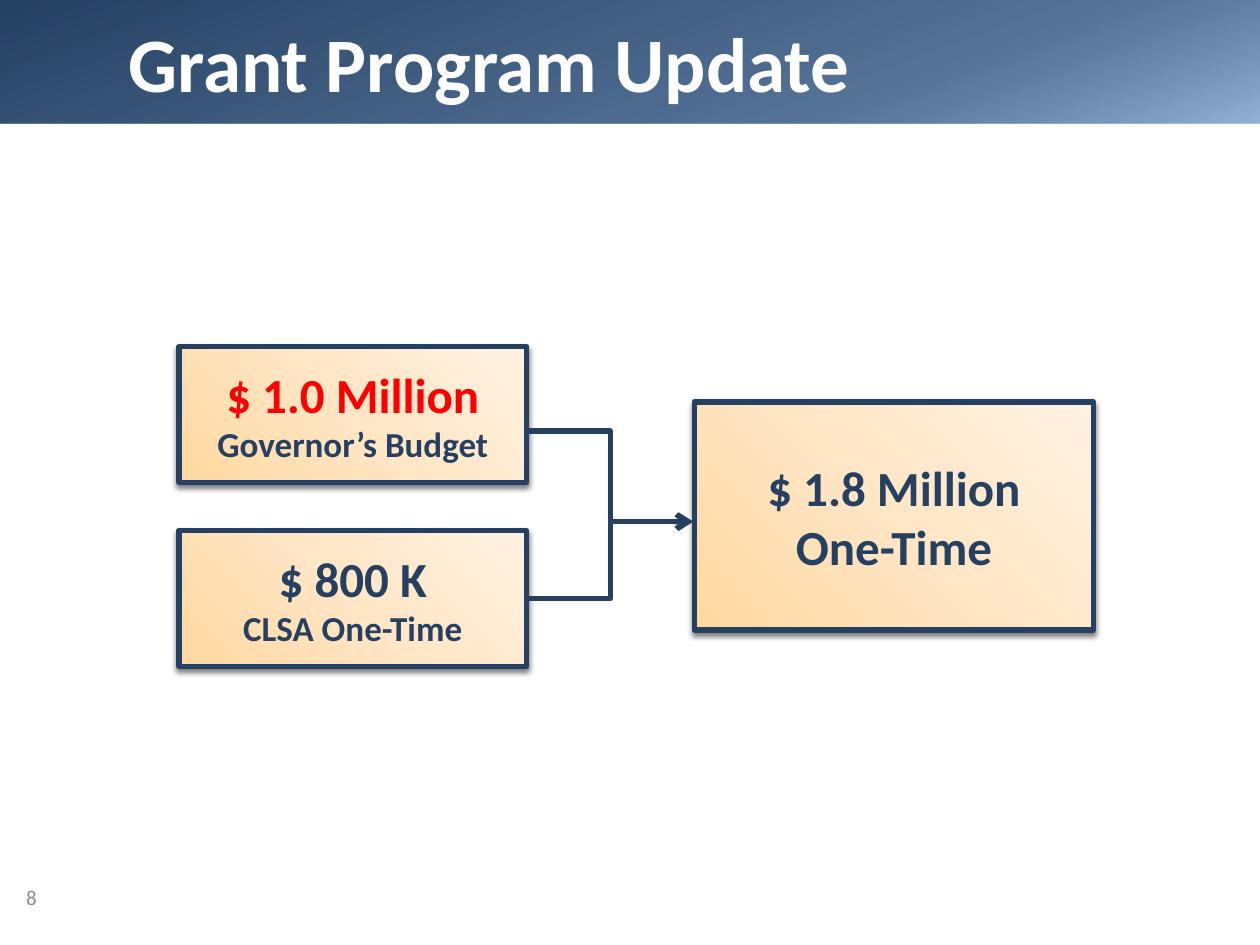
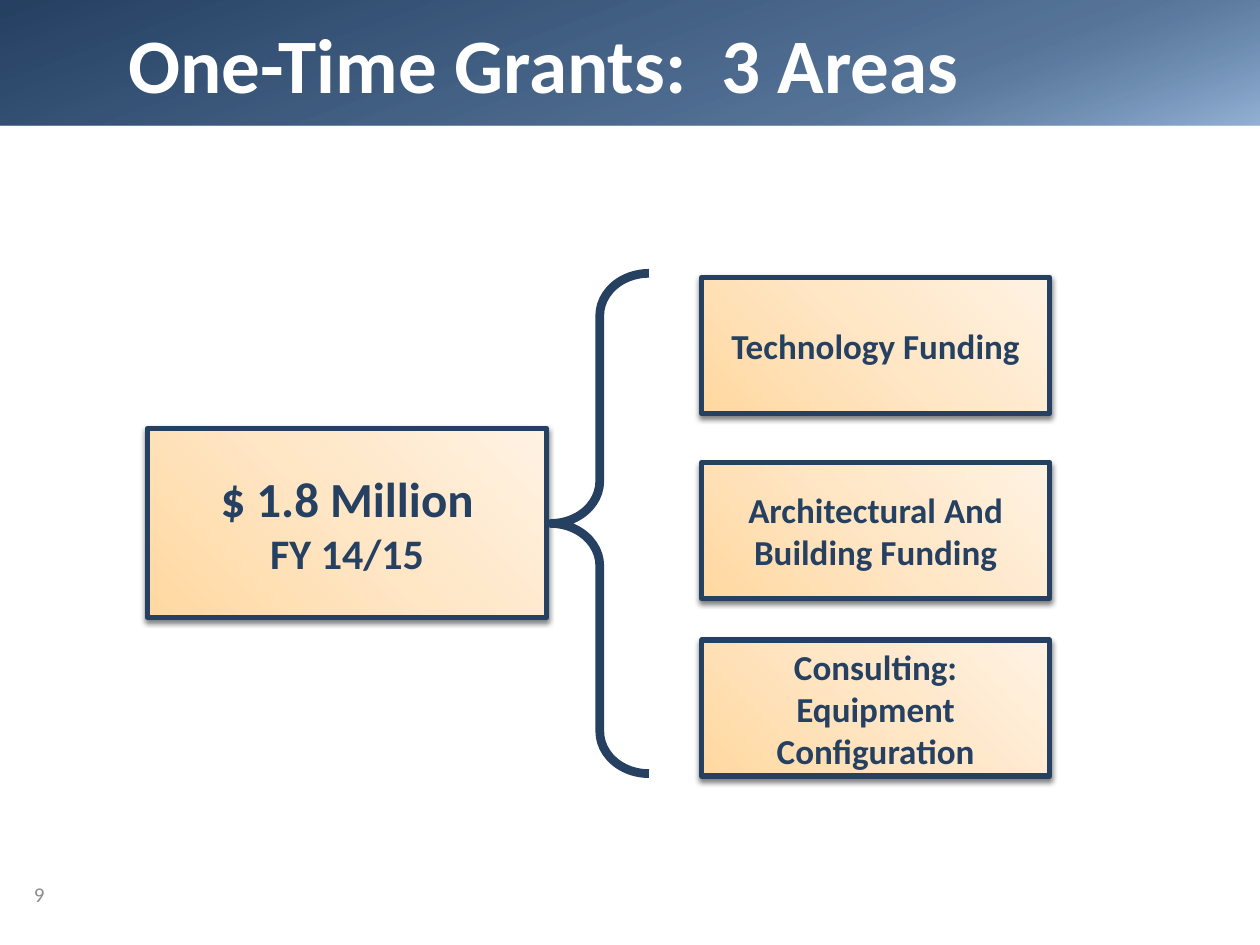
from dataclasses import dataclass

from pptx import Presentation
from pptx.dml.color import RGBColor
from pptx.enum.shapes import MSO_CONNECTOR, MSO_SHAPE
from pptx.enum.text import MSO_ANCHOR, MSO_AUTO_SIZE, PP_ALIGN
from pptx.oxml import parse_xml
from pptx.oxml.ns import nsdecls, qn
from pptx.util import Pt

SCALE = 9144


@dataclass(frozen=True)
class Theme:
    """Colours, gradient stops and type sizes of the deck."""
    font: str = "Calibri"
    navy: str = "254061"
    red: str = "FF0000"
    white: str = "FFFFFF"
    gray: str = "8C8C8C"
    peach: tuple = ((0, "FFD8A0", 100), (50, "FFE6C5", 100), (100, "FFF2E3", 100))
    blue: tuple = ((0, "254061", 100), (72, "305581", 81), (100, "95B3D7", 100))
    title: int = 44
    large: int = 28
    mid: int = 24
    small: int = 20
    note: int = 12
    edge: int = 3
    heavy: int = 5


THEME = Theme()
CORNER = '<a:path path="circle"><a:fillToRect t="100000" r="100000"/></a:path>'


def px(*values):
    """Turn px lengths into EMU."""
    return [value * SCALE for value in values]


def tilt(angle):
    """Give the direction of a linear gradient."""
    return f'<a:lin ang="{angle * 60000}" scaled="0"/>'


def shade(shape, stops, course):
    """Fill a shape with a gradient that follows a course."""
    marks = "".join(
        f'<a:gs pos="{pos * 1000}"><a:srgbClr val="{color}">'
        f'<a:alpha val="{alpha * 1000}"/></a:srgbClr></a:gs>'
        for pos, color, alpha in stops)
    grad = parse_xml(f'<a:gradFill {nsdecls("a")} rotWithShape="1">'
                     f'<a:gsLst>{marks}</a:gsLst>{course}</a:gradFill>')
    shape.element.spPr.find(qn("a:prstGeom")).addnext(grad)


def stroke(shape, width):
    """Draw the outline of a shape or connector in navy."""
    shape.line.color.rgb = RGBColor.from_string(THEME.navy)
    shape.line.width = Pt(width)


def drop(shape):
    """Cast a soft shadow straight down."""
    shape.shadow.inherit = False
    shape.element.spPr.find(qn("a:effectLst")).append(parse_xml(
        f'<a:outerShdw {nsdecls("a")} blurRad="{Pt(3)}" dist="{Pt(2)}" '
        'dir="5400000" rotWithShape="0"><a:srgbClr val="000000">'
        '<a:alpha val="50000"/></a:srgbClr></a:outerShdw>'))


def write(frame, lines, align=PP_ALIGN.LEFT, bold=True):
    """Write lines of (text, size, colour), one paragraph each."""
    frame.word_wrap = True
    frame.auto_size = MSO_AUTO_SIZE.NONE
    frame.vertical_anchor = MSO_ANCHOR.MIDDLE
    for index, (text, size, color) in enumerate(lines):
        para = frame.add_paragraph() if index else frame.paragraphs[0]
        para.text = text
        para.alignment = align
        para.font.name = THEME.font
        para.font.size = Pt(size)
        para.font.bold = bold
        para.font.color.rgb = RGBColor.from_string(color)


def card(slide, area, lines, course):
    """Add a peach box with centred text."""
    box = slide.shapes.add_shape(MSO_SHAPE.RECTANGLE, *px(*area))
    shade(box, THEME.peach, course)
    stroke(box, THEME.edge)
    drop(box)
    write(box.text_frame, lines, PP_ALIGN.CENTER)


def elbow(slide, start, end):
    """Add a bent arrow."""
    link = slide.shapes.add_connector(MSO_CONNECTOR.ELBOW, *px(*start, *end))
    stroke(link, THEME.edge)
    link.line._get_or_add_ln().append(
        parse_xml(f'<a:tailEnd {nsdecls("a")} type="arrow"/>'))
    link.element.spPr.append(parse_xml(f'<a:effectLst {nsdecls("a")}/>'))


def brace(slide, area):
    """Add a heavy left brace."""
    curve = slide.shapes.add_shape(MSO_SHAPE.LEFT_BRACE, *px(*area))
    curve.adjustments[0] = 0.43
    curve.fill.background()
    curve.shadow.inherit = False
    stroke(curve, THEME.heavy)


def page(deck, title, area, top, number, spot):
    """Add a slide with its band, title and page number."""
    slide = deck.slides.add_slide(deck.slide_layouts[5])
    head = slide.shapes.title
    head.left, head.top, head.width, head.height = px(*area)
    write(head.text_frame, [(title, THEME.title, THEME.white)])
    band = slide.shapes.add_shape(MSO_SHAPE.RECTANGLE, *px(0, top, 1000, 100))
    shade(band, THEME.blue, tilt(70))
    band.line.fill.background()
    band.shadow.inherit = False
    head.element.addprevious(band.element)
    foot = slide.shapes.add_textbox(*px(*spot, 233, 40))
    write(foot.text_frame, [(number, THEME.note, THEME.gray)], bold=False)
    return slide


def update(deck):
    """Build the slide that adds up the two sources."""
    slide = page(deck, "Grant Program Update", (92, -2, 875, 102), -2, "8", (11, 692))
    navy, large, small = THEME.navy, THEME.large, THEME.small
    card(slide, (551, 319, 317, 181),
         [("$ 1.8 Million", large, navy), ("One-Time", large, navy)], CORNER)
    funds = [(275, 342, "$ 1.0 Million", THEME.red, "Governor’s Budget"),
             (421, 475, "$ 800 K", navy, "CLSA One-Time")]
    for top, start, amount, color, source in funds:
        card(slide, (142, top, 276, 108),
             [(amount, large, color), (source, small, navy)], CORNER)
        elbow(slide, (419, start), (550, 414))


def areas(deck):
    """Build the slide that splits the grants into areas."""
    slide = page(deck, "One-Time Grants:  3 Areas", (92, 8, 782, 83), 0, "9", (17, 690))
    navy, slant = THEME.navy, tilt(315)
    card(slide, (117, 340, 317, 150),
         [("$ 1.8 Million", THEME.large, navy), ("FY 14/15", THEME.mid, navy)], slant)
    grants = [(220, "Technology Funding"),
              (367, "Architectural And Building Funding"),
              (508, "Consulting: Equipment Configuration")]
    for top, name in grants:
        card(slide, (557, top, 276, 108), [(name, THEME.small, navy)], slant)
    brace(slide, (437, 217, 78, 397))


def main():
    """Build and save the deck."""
    deck = Presentation()
    deck.slide_width, deck.slide_height = px(1000, 750)
    update(deck)
    areas(deck)
    deck.save("out.pptx")


if __name__ == "__main__":
    main()
